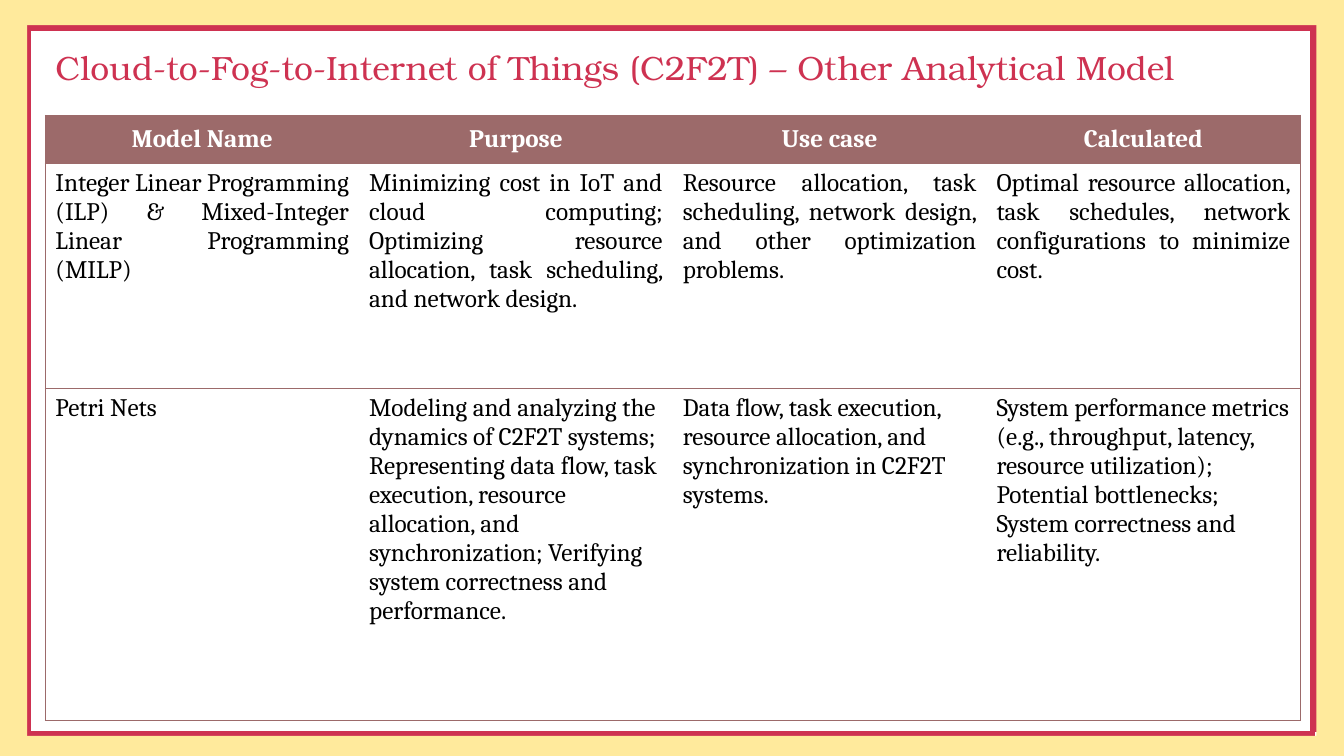
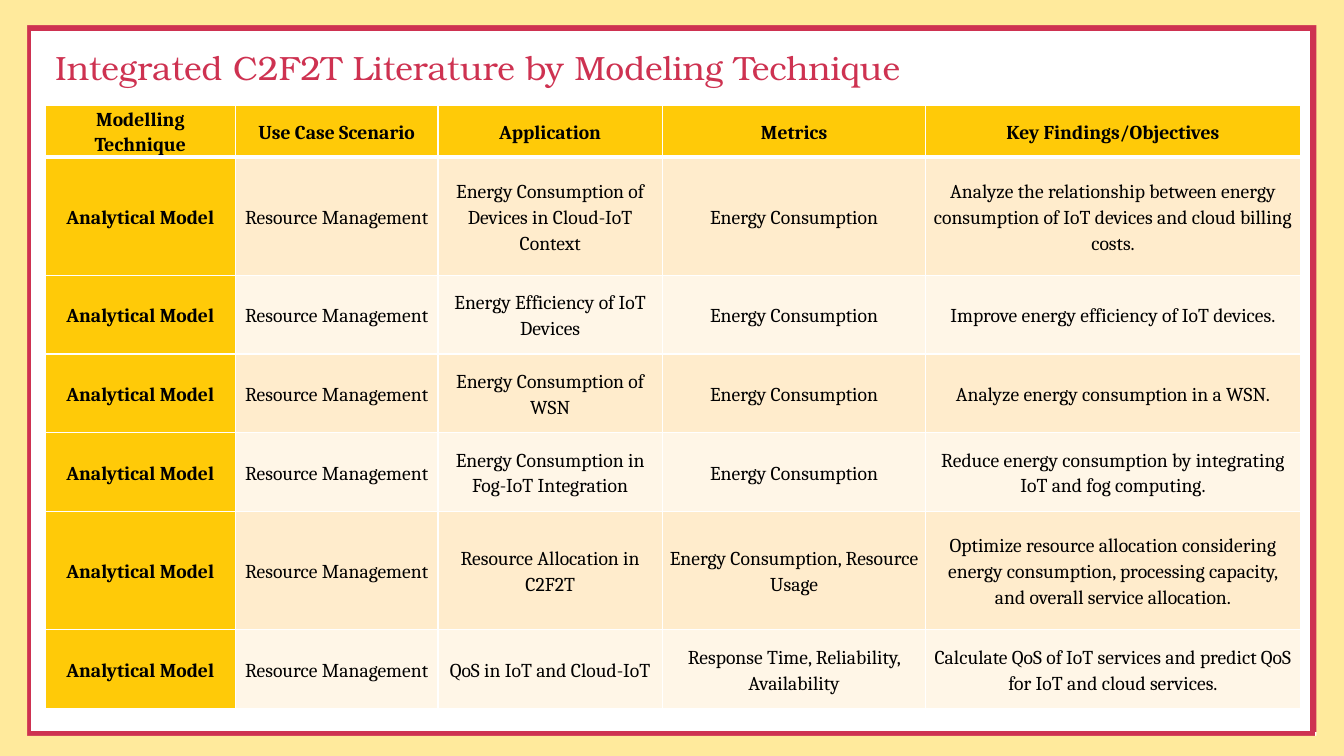
from lxml import etree
from pptx import Presentation
from pptx import util as u
from pptx.dml.color import RGBColor
from pptx.enum import shapes, text
from pptx.oxml.ns import qn

COLORS = {
    "red": "CE3251", "cream": "FFEA9C", "mauve": "9C6A6A", "gold": "FFCA08",
    "peach": "FFECCC", "pale": "FFF6E7", "white": "FFFFFF", "black": "000000",
}
TITLE_FONT, TABLE_FONT = "TeX Gyre Bonum", "Cambria"
WIDTH, HEIGHT = 960, 540
LEFT, CONTENT_WIDTH = 32.4, 896.4
PLAIN_TABLE = "{2D5ABB26-0587-4C30-8999-92F81FD0307C}"
CENTER, JUSTIFY, START = (
    text.PP_ALIGN.CENTER, text.PP_ALIGN.JUSTIFY, text.PP_ALIGN.LEFT)
MIDDLE, TOP = text.MSO_ANCHOR.MIDDLE, text.MSO_ANCHOR.TOP


def rgb(name):
    return RGBColor.from_string(COLORS[name])


class Deck:
    def __init__(self):
        self.deck = Presentation()
        self.deck.slide_width, self.deck.slide_height = u.Pt(WIDTH), u.Pt(HEIGHT)
        self.layout = self.deck.slide_layouts[5]
        self.page = None

    def slide(self, title):
        first = self.page is None
        self.page = self.deck.slides.add_slide(self.layout)
        if first:
            self.frame()
        box = self.page.shapes.title
        box.left, box.top = u.Pt(LEFT), u.Pt(25.2)
        box.width, box.height = u.Pt(CONTENT_WIDTH), u.Pt(49.7)
        box.text_frame.auto_size = text.MSO_AUTO_SIZE.NONE
        box.text_frame.vertical_anchor = MIDDLE
        para = box.text_frame.paragraphs[0]
        para.alignment, para.line_spacing = START, 0.9
        self.span(para, title, TITLE_FONT, 24, "red")

    def frame(self):
        """Draw the border and the outer bands, and hand them to the layout."""
        near, far_x, far_y = 20, 938.2, 524.2
        parts = [
            self.line(18.7, far_y, 939.6, far_y),
            self.line(near, near, near, 525.6),
            self.line(19.4, near, 940.3, near),
            self.line(far_x, 17.3, far_x, 522.7),
            self.band(0, 0, WIDTH, 18),
            self.band(0, 525.6, WIDTH, 14.4),
            self.band(940.3, 18, 19.7, 507.6),
            self.band(0, 18, 19.4, 507.6),
        ]
        tree = self.layout.placeholders[0].element.getparent()
        for part in parts:
            tree.append(part.element)

    def line(self, x1, y1, x2, y2):
        line = self.page.shapes.add_connector(
            shapes.MSO_CONNECTOR.STRAIGHT, u.Pt(x1), u.Pt(y1), u.Pt(x2), u.Pt(y2))
        line.line.color.rgb = rgb("red")
        line.line.width = u.Pt(4.5)
        etree.SubElement(line.element.find(qn("p:spPr")), qn("a:effectLst"))
        return line

    def band(self, left, top, width, height):
        band = self.page.shapes.add_shape(
            shapes.MSO_SHAPE.RECTANGLE, u.Pt(left), u.Pt(top), u.Pt(width), u.Pt(height))
        band.shadow.inherit = False
        band.fill.solid()
        band.fill.fore_color.rgb = rgb("cream")
        band.line.fill.background()
        return band

    def span(self, para, words, font, size, color, bold=False):
        span = para.add_run()
        span.text = words
        span.font.name, span.font.size, span.font.bold = font, u.Pt(size), bold
        span.font.color.rgb = rgb(color)

    def table(self, top, widths, heights, rows):
        frame = self.page.shapes.add_table(
            len(rows), len(widths), u.Pt(LEFT), u.Pt(top),
            u.Pt(CONTENT_WIDTH), u.Pt(sum(heights)))
        frame.element.find(".//" + qn("a:tableStyleId")).text = PLAIN_TABLE
        table = frame.table
        table.horz_banding = table.first_row = False
        for column, width in zip(table.columns, widths):
            column.width = u.Pt(width)
        for row, height in zip(table.rows, heights):
            row.height = u.Pt(height)
        return table

    def cell(self, cell, words, size, color="black", bold=False, fill=None,
             align=CENTER, anchor=MIDDLE, spacing=None):
        cell.vertical_anchor = anchor
        if fill:
            cell.fill.solid()
            cell.fill.fore_color.rgb = rgb(fill)
        else:
            cell.fill.background()
        para = cell.text_frame.paragraphs[0]
        para.alignment = align
        if spacing:
            para.line_spacing = spacing
        self.span(para, words, TABLE_FONT, size, color, bold)

    def borders(self, cell, color, **widths):
        """Set cell borders; widths are points by side: L, R, T, B."""
        props = cell._tc.get_or_add_tcPr()
        sides = [side for side in "LRTB" if side in widths]
        for place, side in enumerate(sides):
            edge = etree.Element(qn("a:ln" + side), w=str(u.Pt(widths[side])))
            fill = etree.SubElement(edge, qn("a:solidFill"))
            etree.SubElement(fill, qn("a:srgbClr"), val=COLORS[color])
            props.insert(place, edge)


def models_slide(deck):
    deck.slide("Cloud-to-Fog-to-Internet of Things (C2F2T) – Other Analytical Model")
    rows = [
        ("Model Name", "Purpose", "Use case", "Calculated"),
        ("Integer Linear Programming (ILP) & Mixed-Integer Linear Programming (MILP)",
         "Minimizing cost in IoT and cloud computing; Optimizing resource allocation, "
         "task scheduling, and network design.",
         "Resource allocation, task scheduling, network design, and other "
         "optimization problems.",
         "Optimal resource allocation, task schedules, network configurations to "
         "minimize cost."),
        ("Petri Nets",
         "Modeling and analyzing the dynamics of C2F2T systems; Representing data flow, "
         "task execution, resource allocation, and synchronization; Verifying system "
         "correctness and performance.",
         "Data flow, task execution, resource allocation, and synchronization in C2F2T "
         "systems.",
         "System performance metrics (e.g., throughput, latency, resource utilization); "
         "Potential bottlenecks; System correctness and reliability."),
    ]
    styles = [
        dict(color="white", bold=True, fill="mauve"),
        dict(align=JUSTIFY, anchor=TOP),
        dict(align=START, anchor=TOP),
    ]
    table = deck.table(82.5, [CONTENT_WIDTH / 4] * 4, [34.5, 160.6, 236.9], rows)
    for r, (row, style) in enumerate(zip(rows, styles)):
        for c, words in enumerate(row):
            cell = table.cell(r, c)
            deck.cell(cell, words, 18, **style)
            edges = {"T": 1, "B": 1}
            if c == 0:
                edges["L"] = 1
            if c == len(row) - 1:
                edges["R"] = 1
            deck.borders(cell, "mauve", **edges)


def literature_slide(deck):
    deck.slide("Integrated C2F2T Literature by Modeling Technique")
    header = ("Modelling Technique", "Use Case Scenario", "Application", "Metrics",
              "Key Findings/Objectives")
    studies = [
        ("Energy Consumption of Devices in Cloud-IoT Context", "Energy Consumption",
         "Analyze the relationship between energy consumption of IoT devices and cloud "
         "billing costs."),
        ("Energy Efficiency of IoT Devices", "Energy Consumption",
         "Improve energy efficiency of IoT devices."),
        ("Energy Consumption of WSN", "Energy Consumption",
         "Analyze energy consumption in a WSN."),
        ("Energy Consumption in Fog-IoT Integration", "Energy Consumption",
         "Reduce energy consumption by integrating IoT and fog computing."),
        ("Resource Allocation in C2F2T", "Energy Consumption, Resource Usage",
         "Optimize resource allocation considering energy consumption, processing "
         "capacity, and overall service allocation."),
        ("QoS in IoT and Cloud-IoT", "Response Time, Reliability, Availability",
         "Calculate QoS of IoT services and predict QoS for IoT and cloud services."),
    ]
    rows = [header] + [("Analytical Model", "Resource Management", *s) for s in studies]
    tall, short = 84.6, 56.2
    table = deck.table(75, [135.8, 144.7, 160.3, 188.2, 267.4],
                       [37, tall, short, short, short, tall, short], rows)
    for r, row in enumerate(rows):
        for c, words in enumerate(row):
            cell = table.cell(r, c)
            heading = r == 0 or c == 0
            fill = "gold" if heading else ("pale", "peach")[r % 2]
            cell.margin_left = cell.margin_right = u.Pt(5)
            cell.margin_top = cell.margin_bottom = 0
            deck.cell(cell, words, 14, bold=heading, fill=fill, spacing=1.15)
            deck.borders(cell, "white", L=1, R=1, T=3 if r == 1 else 1,
                         B=3 if r == 0 else 1)


def main():
    deck = Deck()
    models_slide(deck)
    literature_slide(deck)
    deck.deck.save("out.pptx")


if __name__ == "__main__":
    main()
